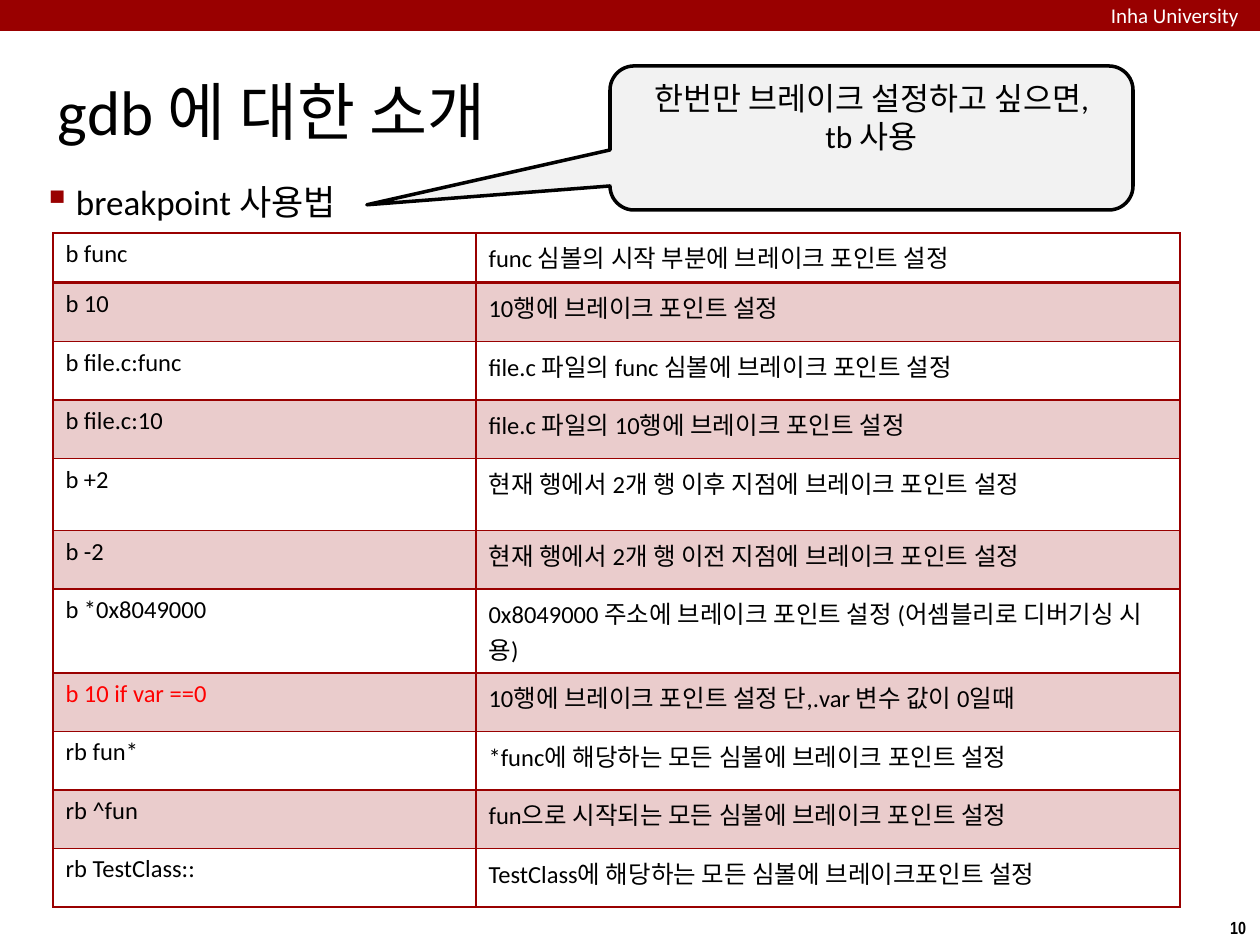
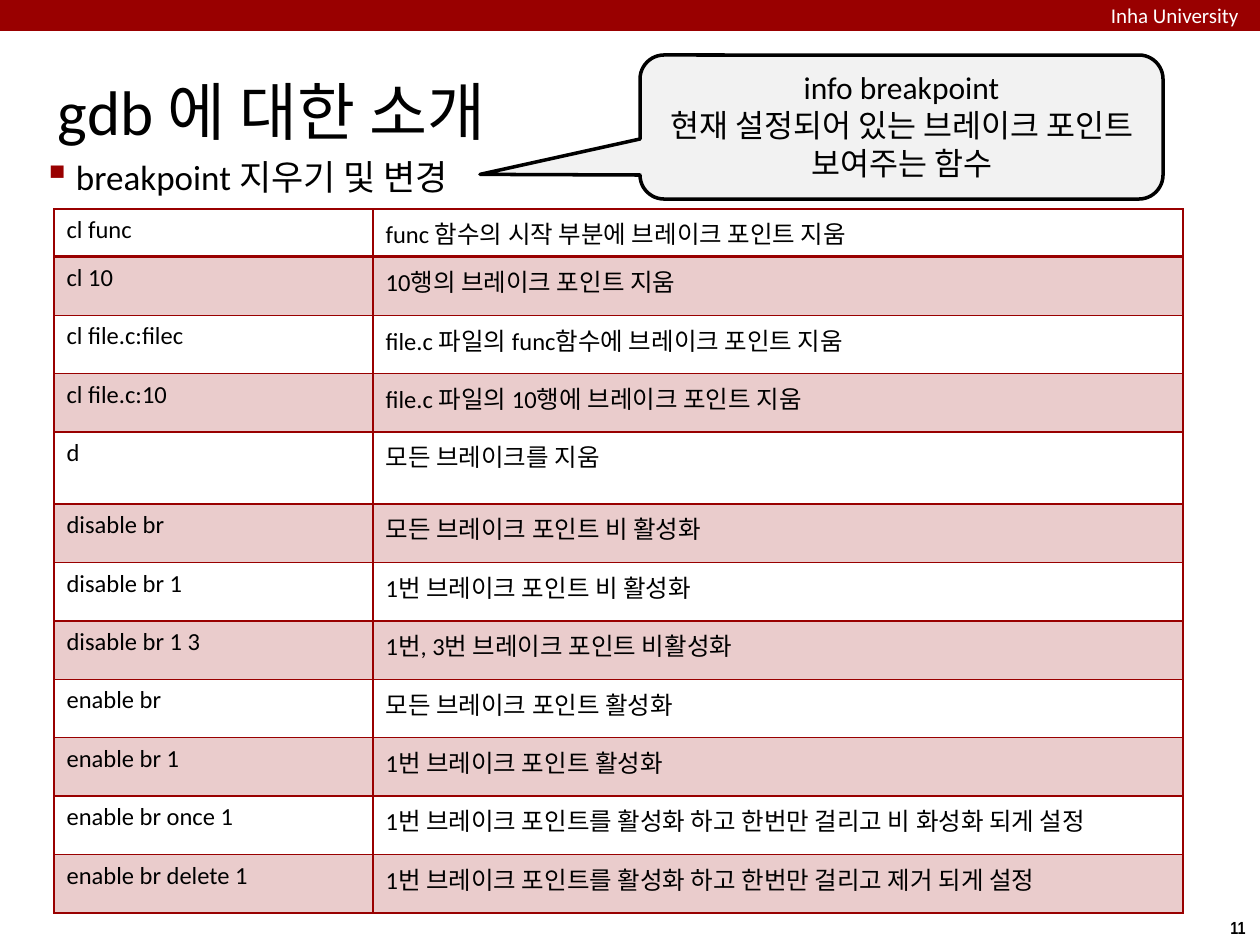
from lxml.etree import SubElement
from pptx import Presentation
from pptx.dml.color import RGBColor
from pptx.enum.shapes import MSO_SHAPE
from pptx.enum.text import MSO_ANCHOR, PP_ALIGN
from pptx.oxml.ns import qn
from pptx.util import Emu, Pt

COLORS = {
    "crimson": "990000",
    "balloon": "F2F2F2",
    "ink": "000000",
    "paper": "FFFFFF",
    "alert": "FF0000",
}
BODY_FONT = "Calibri"
NUMBER_FONT = "Arial Narrow"
SCHOOL = "Inha University"
TITLE = "gdb 에 대한 소개"
FIRST_NUMBER = 10
SLIDE_WIDTH, SLIDE_HEIGHT = 1260, 945
BAND_HEIGHT = 31
BALLOON_SIZE = (523, 144)
ALERT_COMMANDS = {"b 10 if var ==0"}
BAND_ALPHA = 20000

TOPICS = [
    {
        "heading": "breakpoint 사용법",
        "heading_top": 175,
        "balloon": ["한번만 브레이크 설정하고 싶으면,", "tb 사용"],
        "balloon_at": (610, 66),
        "balloon_tail": (-0.965, 0.464, 0.167),
        "table_left": 53,
        "table_top": 233,
        "table_bottom": 907,
        "columns": (423, 704),
        "fixed_rows": {0: 50, 4: 72, 6: 84},
        "commands": [
            ("b func", "func 심볼의 시작 부분에 브레이크 포인트 설정"),
            ("b 10", "10행에 브레이크 포인트 설정"),
            ("b file.c:func", "file.c 파일의 func 심볼에 브레이크 포인트 설정"),
            ("b file.c:10", "file.c 파일의 10행에 브레이크 포인트 설정"),
            ("b +2", "현재 행에서 2개 행 이후 지점에 브레이크 포인트 설정"),
            ("b -2", "현재 행에서 2개 행 이전 지점에 브레이크 포인트 설정"),
            ("b *0x8049000", "0x8049000 주소에 브레이크 포인트 설정 (어셈블리로 디버기싱 시용)"),
            ("b 10 if var ==0", "10행에 브레이크 포인트 설정 단,.var 변수 값이 0일때"),
            ("rb fun*", "*func에 해당하는 모든 심볼에 브레이크 포인트 설정"),
            ("rb ^fun", "fun으로 시작되는 모든 심볼에 브레이크 포인트 설정"),
            ("rb TestClass::", "TestClass에 해당하는 모든 심볼에 브레이크포인트 설정"),
        ],
    },
    {
        "heading": "breakpoint 지우기 및 변경",
        "heading_top": 150,
        "balloon": ["info breakpoint", "현재 설정되어 있는 브레이크 포인트 보여주는 함수"],
        "balloon_at": (640, 55),
        "balloon_tail": (-0.806, 0.329, 0.167),
        "table_left": 54,
        "table_top": 209,
        "table_bottom": 913,
        "columns": (319, 810),
        "fixed_rows": {0: 48, 4: 72},
        "commands": [
            ("cl func", "func 함수의 시작 부분에 브레이크 포인트 지움"),
            ("cl 10", "10행의 브레이크 포인트 지움"),
            ("cl file.c:filec", "file.c 파일의 func함수에 브레이크 포인트 지움"),
            ("cl file.c:10", "file.c 파일의 10행에 브레이크 포인트 지움"),
            ("d", "모든 브레이크를 지움"),
            ("disable br", "모든 브레이크 포인트 비 활성화"),
            ("disable br 1", "1번 브레이크 포인트 비 활성화"),
            ("disable br 1 3", "1번, 3번 브레이크 포인트 비활성화"),
            ("enable br", "모든 브레이크 포인트 활성화"),
            ("enable br 1", "1번 브레이크 포인트 활성화"),
            ("enable br once 1", "1번 브레이크 포인트를 활성화 하고 한번만 걸리고 비 화성화 되게 설정"),
            ("enable br delete 1", "1번 브레이크 포인트를 활성화 하고 한번만 걸리고 제거 되게 설정"),
        ],
    },
]


def px(length):
    return Emu(round(length * 914400 / 126))


def rgb(color):
    return RGBColor.from_string(COLORS[color])


def add_text(paragraph, text, size, color="ink", font=BODY_FONT, bold=False):
    run = paragraph.add_run()
    run.text = text
    run.font.name = font
    run.font.size = Pt(size)
    run.font.bold = bold
    run.font.color.rgb = rgb(color)


def add_box(slide, area, inset, wrap=True):
    frame = slide.shapes.add_textbox(*map(px, area)).text_frame
    frame.word_wrap = wrap
    frame.margin_left = frame.margin_right = px(inset)
    frame.margin_top = frame.margin_bottom = px(inset)
    return frame


def add_filled(slide, preset, area, color):
    shape = slide.shapes.add_shape(preset, *map(px, area))
    shape.shadow.inherit = False
    shape.fill.solid()
    shape.fill.fore_color.rgb = rgb(color)
    shape.line.fill.background()
    return shape


def hang(paragraph, margin, hanging):
    properties = paragraph._p.get_or_add_pPr()
    properties.set("marL", str(px(margin)))
    properties.set("indent", str(-px(hanging)))
    return properties


def add_frame(slide, number):
    add_filled(slide, MSO_SHAPE.RECTANGLE, (0, 0, SLIDE_WIDTH, BAND_HEIGHT), "crimson")
    school = add_box(slide, (1111, 3, 149, 24), 0, wrap=False)
    add_text(school.paragraphs[0], SCHOOL, 12, "paper")

    title = add_box(slide, (53, 35, 1155, 150), 5)
    title.vertical_anchor = MSO_ANCHOR.MIDDLE
    hang(title.paragraphs[0], 16, 16)
    add_text(title.paragraphs[0], TITLE, 36)

    page = add_box(slide, (1217, 911, 42, 33), 6, wrap=False)
    page.paragraphs[0].alignment = PP_ALIGN.CENTER
    add_text(page.paragraphs[0], str(number), 10, font=NUMBER_FONT, bold=True)


def add_heading(slide, topic):
    heading = add_box(slide, (0, topic["heading_top"], 519, 689), 5).paragraphs[0]
    properties = hang(heading, 71, 33)
    bullet_color = SubElement(properties, qn("a:buClr"))
    SubElement(bullet_color, qn("a:srgbClr"), val=COLORS["crimson"])
    SubElement(properties, qn("a:buSzPct"), val="110000")
    SubElement(properties, qn("a:buChar"), char="▪")
    add_text(heading, topic["heading"], 20)


def add_borders(cell, bottom):
    properties = cell._tc.get_or_add_tcPr()
    for side, width in (("L", 1), ("R", 1), ("T", 1), ("B", bottom)):
        line = SubElement(properties, qn(f"a:ln{side}"), w=str(Pt(width)))
        fill = SubElement(line, qn("a:solidFill"))
        SubElement(fill, qn("a:srgbClr"), val=COLORS["crimson"])


def fill_cell(cell, banded):
    if not banded:
        cell.fill.background()
        return
    cell.fill.solid()
    cell.fill.fore_color.rgb = rgb("crimson")
    tint = cell._tc.tcPr.find(".//" + qn("a:solidFill") + "[last()]/" + qn("a:srgbClr"))
    for tint in cell._tc.tcPr.findall(qn("a:solidFill") + "/" + qn("a:srgbClr")):
        SubElement(tint, qn("a:alpha"), val=str(BAND_ALPHA))


def add_commands(slide, topic):
    commands, fixed = topic["commands"], topic["fixed_rows"]
    height = topic["table_bottom"] - topic["table_top"]
    even_row = (height - sum(fixed.values())) / (len(commands) - len(fixed))
    area = (topic["table_left"], topic["table_top"], sum(topic["columns"]), height)
    table = slide.shapes.add_table(len(commands), 2, *map(px, area)).table
    table.first_row = table.horz_banding = False
    for column, width in zip(table.columns, topic["columns"]):
        column.width = px(width)
    for index, command in enumerate(commands):
        table.rows[index].height = px(fixed.get(index, even_row))
        for cell, text in zip(table.rows[index].cells, command):
            add_borders(cell, 2 if index == 0 else 1)
            fill_cell(cell, index % 2 == 1)
            color = "alert" if text in ALERT_COMMANDS else "ink"
            add_text(cell.text_frame.paragraphs[0], text, 14, color)


def add_balloon(slide, topic):
    area = topic["balloon_at"] + BALLOON_SIZE
    balloon = add_filled(slide, MSO_SHAPE.ROUNDED_RECTANGULAR_CALLOUT, area, "balloon")
    for index, value in enumerate(topic["balloon_tail"]):
        balloon.adjustments[index] = value
    balloon.line.color.rgb = rgb("ink")
    balloon.line.width = Pt(2)
    frame = balloon.text_frame
    frame.word_wrap = True
    frame.vertical_anchor = MSO_ANCHOR.TOP
    for index, text in enumerate(topic["balloon"]):
        paragraph = frame.add_paragraph() if index else frame.paragraphs[0]
        paragraph.alignment = PP_ALIGN.CENTER
        add_text(paragraph, text, 18)


def main():
    deck = Presentation()
    deck.slide_width, deck.slide_height = px(SLIDE_WIDTH), px(SLIDE_HEIGHT)
    for number, topic in enumerate(TOPICS, FIRST_NUMBER):
        slide = deck.slides.add_slide(deck.slide_layouts[6])
        add_frame(slide, number)
        add_heading(slide, topic)
        add_commands(slide, topic)
        add_balloon(slide, topic)
    deck.save("out.pptx")


if __name__ == "__main__":
    main()
